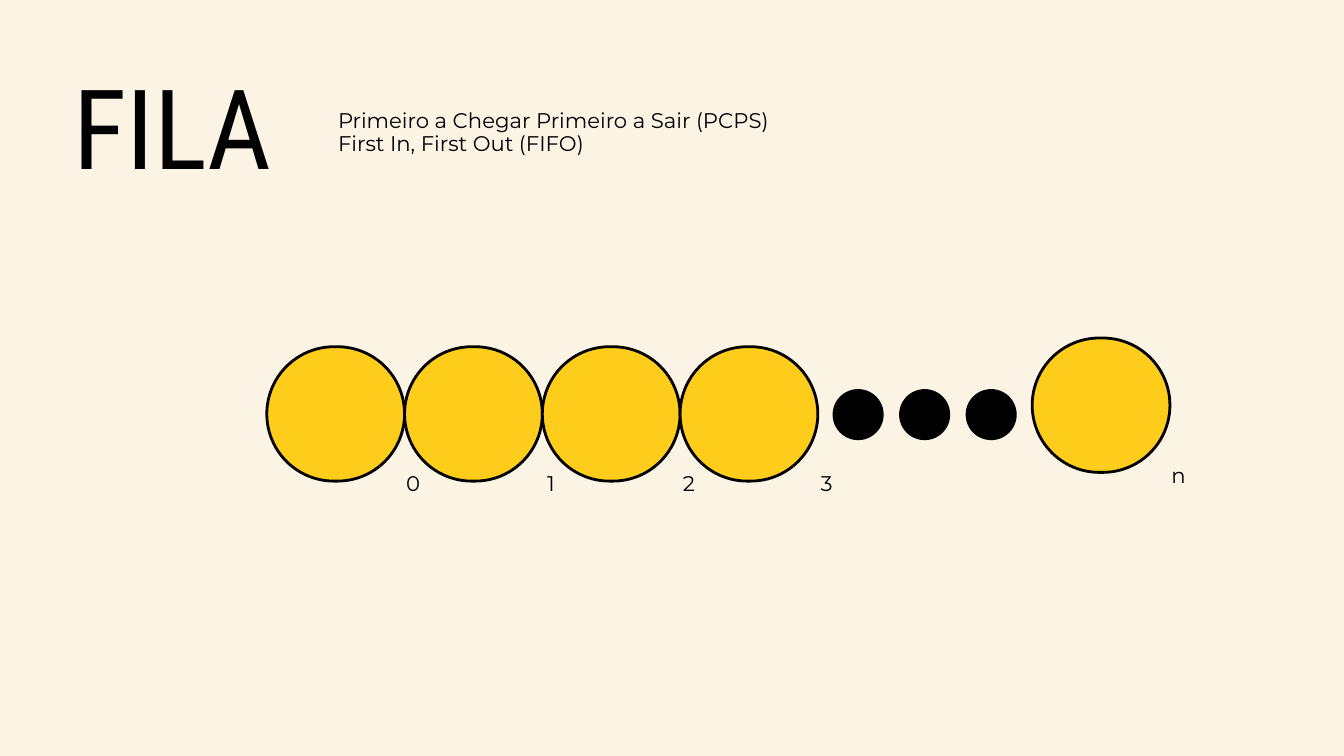
"""Build the slide that shows a queue as a row of circles."""
from typing import NamedTuple

from pptx import Presentation
from pptx.dml.color import RGBColor
from pptx.enum.shapes import MSO_SHAPE
from pptx.enum.text import MSO_ANCHOR, MSO_AUTO_SIZE, PP_ALIGN
from pptx.util import Inches, Pt

ROUND = MSO_SHAPE.ROUNDED_RECTANGLE
OVAL = MSO_SHAPE.OVAL
TOP, MIDDLE = MSO_ANCHOR.TOP, MSO_ANCHOR.MIDDLE
LEFT, CENTER = PP_ALIGN.LEFT, PP_ALIGN.CENTER
FIXED = MSO_AUTO_SIZE.NONE

CREAM, GOLD, BLACK = "FBF3E4", "FECC1A", "000000"
WIDE, HIGH = 2.05, 2.0
DOT, STEP = 0.76, 0.99


class Box(NamedTuple):
    left: float
    top: float
    width: float
    height: float


class Style(NamedTuple):
    font: str
    size: float
    lead: float
    align: PP_ALIGN = LEFT
    anchor: MSO_ANCHOR = TOP
    inset: float = 0


class Node(NamedTuple):
    label: str
    left: float
    top: float


HEAD = Style("Roboto Condensed", 118.8, 118.8)
BODY = Style("Montserrat", 22.7, 34.1)
MARK = BODY._replace(align=CENTER, anchor=MIDDLE, inset=0.06)

NODES = [Node(str(i), 3.97 + i * WIDE, 5.16) for i in range(4)]
NODES.append(Node("n", 15.36, 5.03))
LINES = ["Primeiro a Chegar Primeiro a Sair (PCPS)", "First In, First Out (FIFO)"]


def color(code: str) -> RGBColor:
    """Turn a hex string into a colour."""
    return RGBColor.from_string(code)


def place(box: Box) -> list:
    """Give the sides of a box as lengths."""
    return [Inches(side) for side in box]


def write(shape, text: str, style: Style) -> None:
    """Fill a shape with one styled paragraph."""
    frame = shape.text_frame
    frame.text = text
    pad = Inches(style.inset)
    line = frame.paragraphs[0]
    formats = {
        frame: dict(word_wrap=True, auto_size=FIXED, vertical_anchor=style.anchor,
                    margin_left=pad, margin_top=pad, margin_right=pad, margin_bottom=pad),
        line: dict(alignment=style.align, line_spacing=Pt(style.lead), space_before=Pt(0)),
        line.font: dict(name=style.font, size=Pt(style.size)),
    }
    for target, values in formats.items():
        for name, value in values.items():
            setattr(target, name, value)
    line.font.color.rgb = color(BLACK)


def add_text(slide, box: Box, text: str, style: Style) -> None:
    """Add a text box."""
    write(slide.shapes.add_textbox(*place(box)), text, style)


def add_form(slide, kind: MSO_SHAPE, box: Box, fill: str):
    """Add a flat shape without an outline."""
    shape = slide.shapes.add_shape(kind, *place(box))
    shape.shadow.inherit = False
    shape.fill.solid()
    shape.fill.fore_color.rgb = color(fill)
    shape.line.fill.background()
    return shape


def add_node(slide, node: Node) -> None:
    """Add a queue circle and its index."""
    shape = add_form(slide, ROUND, Box(node.left, node.top, WIDE, HIGH), GOLD)
    shape.adjustments[0] = 0.5
    shape.line.color.rgb = color(BLACK)
    shape.line.width = Pt(3)
    add_text(slide, Box(node.left, node.top - 0.4, 4.36, 4.77), node.label, MARK)


def main() -> None:
    """Build and save the slide."""
    deck = Presentation()
    deck.slide_width, deck.slide_height = Inches(20), Inches(11.25)
    slide = deck.slides.add_slide(deck.slide_layouts[5])
    slide.background.fill.solid()
    slide.background.fill.fore_color.rgb = color(CREAM)

    title = slide.shapes.title
    title.left, title.top, title.width, title.height = place(Box(1.09, 1.2, 8.33, 1.75))
    write(title, "FILA", HEAD)
    for row, text in enumerate(LINES):
        add_text(slide, Box(5.03, 1.5 + row * 0.35, 7.99, 0.46), text, BODY)

    for node in NODES:
        add_node(slide, node)
    for spot in range(3):
        add_form(slide, OVAL, Box(12.39 + spot * STEP, 5.79, DOT, DOT), BLACK)
    deck.save("out.pptx")


if __name__ == "__main__":
    main()
